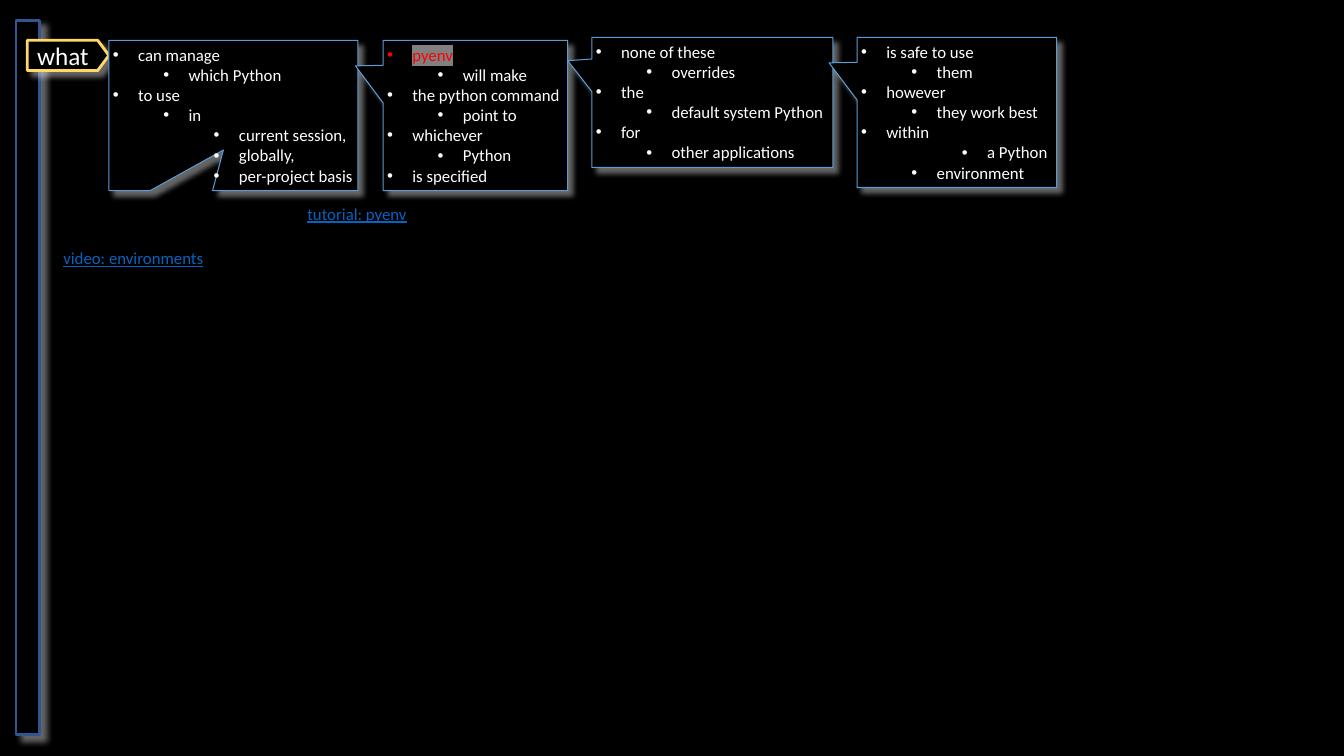
"""Build the pyenv notes slide: a side bar, a label, four callouts and two captions."""
from lxml.etree import SubElement
from pptx import Presentation
from pptx.dml.color import RGBColor
from pptx.enum.shapes import MSO_SHAPE
from pptx.enum.text import MSO_ANCHOR, MSO_AUTO_SIZE, PP_ALIGN
from pptx.oxml import parse_xml
from pptx.oxml.ns import qn
from pptx.util import Inches, Pt

BLACK = RGBColor(0, 0, 0)
WHITE = RGBColor(255, 255, 255)
NAVY = RGBColor(0x32, 0x54, 0x91)
GOLD = RGBColor(0xFF, 0xD9, 0x66)
BLUE = RGBColor(0x5B, 0x9B, 0xD5)
LINK = RGBColor(0x05, 0x63, 0xC1)
RED = RGBColor(255, 0, 0)
GREY = RGBColor(0x80, 0x80, 0x80)
GLOW = (
    '<a:effectLst xmlns:a="http://schemas.openxmlformats.org/drawingml/2006/main">'
    '<a:outerShdw blurRad="50800" dist="63500" dir="2700000" algn="tl" rotWithShape="0">'
    f'<a:srgbClr val="{WHITE}"><a:alpha val="40000"/></a:srgbClr>'
    '</a:outerShdw></a:effectLst>'
)

deck = Presentation()
deck.slide_width = Inches(13.33)
deck.slide_height = Inches(7.5)
slide = deck.slides.add_slide(deck.slide_layouts[6])
slide.background.fill.solid()
slide.background.fill.fore_color.rgb = BLACK


def draw(kind, box, line, width):
    shape = slide.shapes.add_shape(kind, *[Inches(n) for n in box])
    shape.fill.solid()
    shape.fill.fore_color.rgb = BLACK
    shape.line.color.rgb = line
    shape.line.width = Pt(width)
    shape._element.spPr.append(parse_xml(GLOW))
    return shape


def write(para, text, size, color, mark=None):
    para.alignment = PP_ALIGN.LEFT
    run = para.add_run()
    run.text = text
    run.font.size = Pt(size)
    run.font.color.rgb = color
    if mark:
        light = SubElement(run.font._element, qn("a:highlight"))
        SubElement(light, qn("a:srgbClr"), val=str(mark))
    run.font.name = "Calibri"
    return run


draw(MSO_SHAPE.RECTANGLE, (0.16, 0.2, 0.23, 7.09), NAVY, 2)

label = draw(MSO_SHAPE.PENTAGON, (0.27, 0.4, 0.81, 0.3), GOLD, 2)
label.adjustments[0] = 0.37
frame = label.text_frame
frame.word_wrap = False
frame.vertical_anchor = MSO_ANCHOR.MIDDLE
frame.margin_left = Inches(0.1)
frame.margin_right = Inches(0.14)
frame.margin_top = frame.margin_bottom = 0
write(frame.paragraphs[0], "what", 18, WHITE)

notes = [
    ((1.08, 0.4, 2.47, 1.49), (-0.04, 0.23), [
        (0, "can manage"), (1, "which Python"), (0, "to use"), (1, "in"),
        (2, "current session,"), (2, "globally,"), (2, "per-project basis")]),
    ((3.8, 0.4, 1.83, 1.49), (-0.65, -0.33), [
        (0, "pyenv"), (1, "will make"), (0, "the python command"),
        (1, "point to"), (0, "whichever"), (1, "Python"), (0, "is specified")]),
    ((5.87, 0.37, 2.39, 1.29), (-0.6, -0.32), [
        (0, "none of these"), (1, "overrides"), (0, "the"),
        (1, "default system Python"), (0, "for"), (1, "other applications")]),
    ((8.5, 0.37, 1.98, 1.49), (-0.64, -0.33), [
        (0, "is safe to use"), (1, "them"), (0, "however"),
        (1, "they work best"), (0, "within"), (2, "a Python"), (1, "environment")]),
]
for box, tip, lines in notes:
    note = draw(MSO_SHAPE.RECTANGULAR_CALLOUT, box, BLUE, 0.75)
    note.adjustments[0], note.adjustments[1] = tip
    frame = note.text_frame
    frame.word_wrap = False
    frame.auto_size = MSO_AUTO_SIZE.SHAPE_TO_FIT_TEXT
    frame.vertical_anchor = MSO_ANCHOR.TOP
    frame.margin_left = frame.margin_right = Inches(0.04)
    frame.margin_top = frame.margin_bottom = Inches(0.04)
    for index, (level, text) in enumerate(lines):
        para = frame.add_paragraph() if index else frame.paragraphs[0]
        para.level = level
        props = para._p.get_or_add_pPr()
        props.set("marL", str(Inches(0.25 + 0.5 * level)))
        props.set("indent", str(Inches(-0.25)))
        SubElement(props, qn("a:buFont"), typeface="Arial")
        SubElement(props, qn("a:buChar"), char="•")
        if text == "pyenv":
            write(para, text, 12, RED, GREY)
        else:
            write(para, text, 12, WHITE)

for text, left, top, width in [
    ("tutorial: pyenv", 2.95, 1.97, 1.19),
    ("video: environments", 0.53, 2.41, 1.6),
]:
    area = slide.shapes.add_textbox(Inches(left), Inches(top), Inches(width), Inches(0.3))
    area.text_frame.word_wrap = False
    run = write(area.text_frame.paragraphs[0], text, 12, LINK)
    run.font.underline = True

deck.save("out.pptx")
